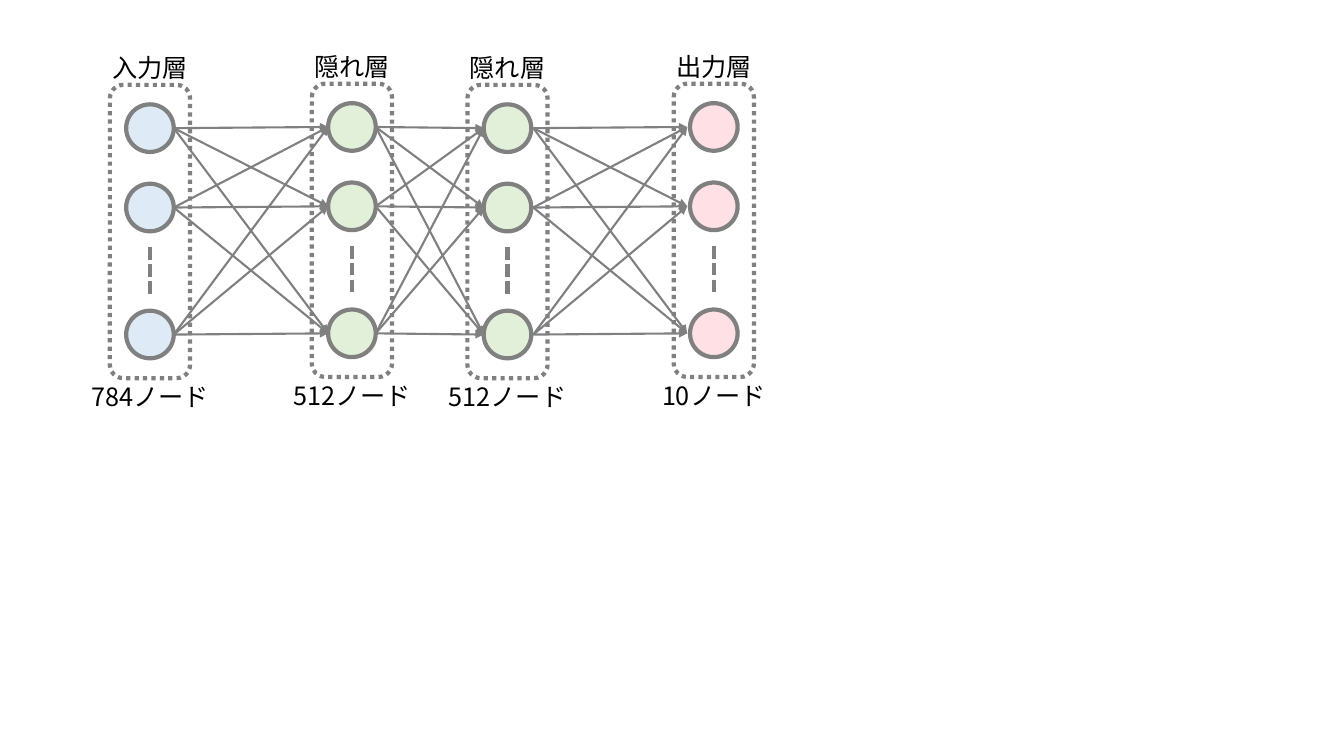
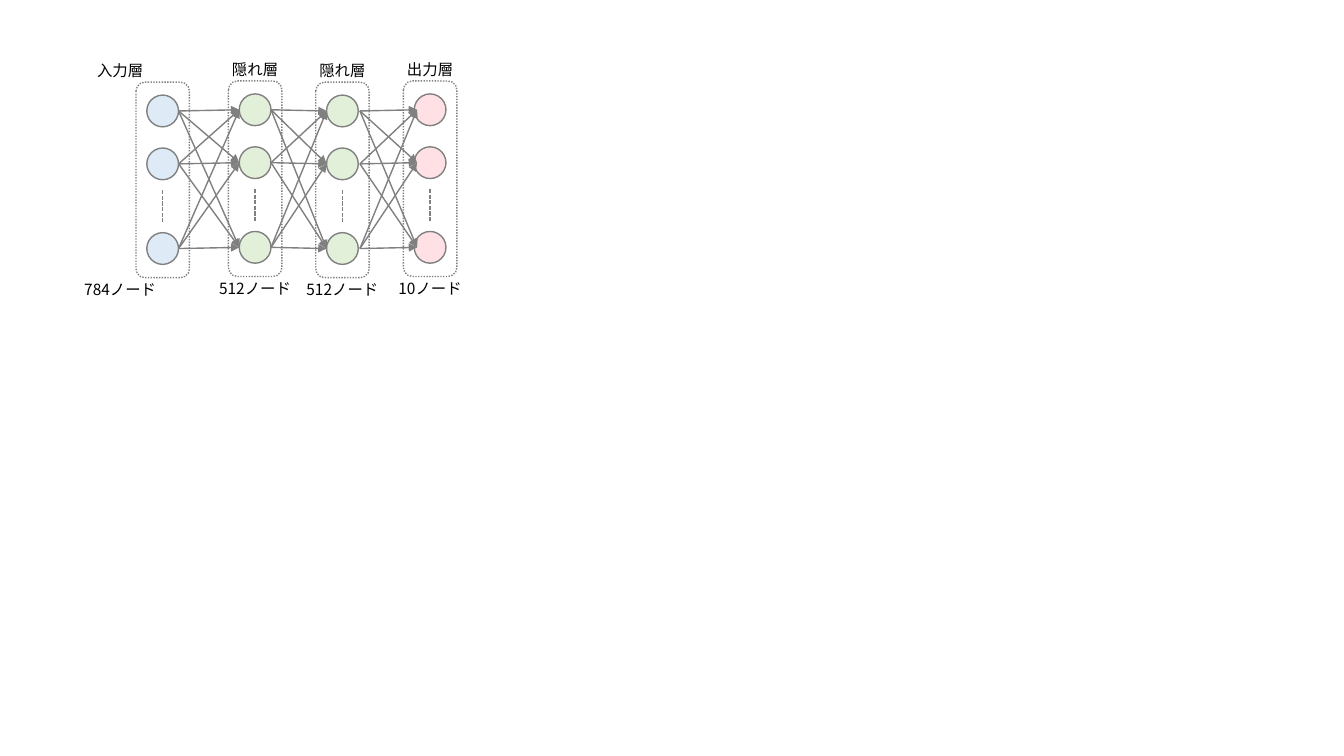
from dataclasses import dataclass
from itertools import pairwise, product

from lxml import etree
from pptx import Presentation
from pptx.dml.color import RGBColor
from pptx.enum.dml import MSO_LINE
from pptx.enum.shapes import MSO_CONNECTOR, MSO_SHAPE
from pptx.enum.text import MSO_ANCHOR, PP_ALIGN
from pptx.oxml.ns import qn
from pptx.util import Cm, Pt

OVAL, ROUNDED = MSO_SHAPE.OVAL, MSO_SHAPE.ROUNDED_RECTANGLE
STRAIGHT = MSO_CONNECTOR.STRAIGHT
DASHED, DOTTED = MSO_LINE.SQUARE_DOT, MSO_LINE.ROUND_DOT
CENTER, MIDDLE = PP_ALIGN.CENTER, MSO_ANCHOR.MIDDLE

FONT = "Noto Sans CJK JP"
BLACK = RGBColor(0x00, 0x00, 0x00)
GRAY = RGBColor(0x80, 0x80, 0x80)
BLUE = RGBColor(0xDE, 0xEB, 0xF7)
GREEN = RGBColor(0xE2, 0xF0, 0xD9)
PINK = RGBColor(0xFF, 0xE1, 0xE5)

LAYERS = [
    ("入力層", "784ノード", BLUE),
    ("隠れ層", "512ノード", GREEN),
    ("隠れ層", "512ノード", GREEN),
    ("出力層", "10ノード", PINK),
]

# Full-size layer in centimetres; heights are measured from the frame's top.
NODE_SIZE = 1.2
NODE_CENTERS = [1.09, 3.09, 6.29]
ELLIPSIS_TOP, ELLIPSIS_BOTTOM = 4.09, 5.28
FRAME_WIDTH, FRAME_HEIGHT = 2.02, 7.39
LABEL_WIDTH, LABEL_HEIGHT = 4.52, 0.72
TITLE_TOP, COUNT_TOP = -0.79, 7.49
STAGGER = 0.03  # the first and third layers sit slightly lower


@dataclass
class Network:
    """Layout of one slide's network, in centimetres and points."""
    scale: float
    frame_top: float
    centers: list
    text_size: float
    outline: float
    arrow_width: float
    input_label_shift: float
    output_arrow_shifts: tuple

    def top(self, layer):
        return self.frame_top + (STAGGER if layer % 2 == 0 else 0)

    def y(self, layer, height):
        return self.top(layer) + height * self.scale


NETWORKS = [
    Network(1, 2.11, [3.78, 8.87, 12.79, 17.99], 18, 3, 1.5, 0, (0.05, -0.07)),
    Network(2 / 3, 2.04, [4.1, 6.43, 8.63, 10.84], 11, 1, 1, -1.07, (0.04, 0.07)),
]


def style_line(line, width, dash=None):
    line.color.rgb = GRAY
    line.width = Pt(width)
    if dash is not None:
        line.dash_style = dash


def add_outline(shapes, kind, center, top, width, height, line_width, fill=None, dash=None):
    """Add a preset shape centred on a horizontal position."""
    shape = shapes.add_shape(kind, Cm(center - width / 2), Cm(top), Cm(width), Cm(height))
    shape.shadow.inherit = False
    if fill is None:
        shape.fill.background()
    else:
        shape.fill.solid()
        shape.fill.fore_color.rgb = fill
    style_line(shape.line, line_width, dash)


def add_line(shapes, start, end, width, dash=None):
    line = shapes.add_connector(STRAIGHT, *(Cm(value) for value in (*start, *end)))
    style_line(line.line, width, dash)
    etree.SubElement(line._element.spPr, qn("a:effectLst"))
    return line


def add_arrow(shapes, start, end, width):
    arrow = add_line(shapes, start, end, width)
    outline = arrow.line._get_or_add_ln()
    etree.SubElement(outline, qn("a:tailEnd"), type="triangle")


def add_label(shapes, text, center, top, network):
    width, height = LABEL_WIDTH * network.scale, LABEL_HEIGHT * network.scale
    box = shapes.add_textbox(Cm(center - width / 2), Cm(top), Cm(width), Cm(height))
    frame = box.text_frame
    frame.margin_left = frame.margin_right = frame.margin_top = frame.margin_bottom = 0
    frame.word_wrap = True
    frame.vertical_anchor = MIDDLE
    frame.text = text
    para = frame.paragraphs[0]
    para.alignment = CENTER
    span = para.runs[0]
    span.font.size = Pt(network.text_size)
    span.font.name = FONT
    span.font.color.rgb = BLACK
    etree.SubElement(span._r.get_or_add_rPr(), qn("a:ea"), typeface=FONT)


def add_layer(page, network, layer):
    title, count, fill = LAYERS[layer]
    shapes = page.shapes.add_group_shape().shapes
    center, scale = network.centers[layer], network.scale
    size = NODE_SIZE * scale
    for height in NODE_CENTERS:
        add_outline(shapes, OVAL, center, network.y(layer, height) - size / 2,
                    size, size, network.outline, fill=fill)
    add_line(shapes, (center, network.y(layer, ELLIPSIS_TOP)),
             (center, network.y(layer, ELLIPSIS_BOTTOM)), network.outline, DASHED)
    add_outline(shapes, ROUNDED, center, network.top(layer), FRAME_WIDTH * scale,
                FRAME_HEIGHT * scale, network.outline, dash=DOTTED)
    label_center = center + (network.input_label_shift if layer == 0 else 0)
    for text, height in ((title, TITLE_TOP), (count, COUNT_TOP)):
        add_label(shapes, text, label_center, network.y(layer, height), network)


def join_layers(page, network, left, right):
    """Draw an arrow from every node of one layer to every node of the next."""
    shapes = page.shapes.add_group_shape().shapes
    radius = NODE_SIZE * network.scale / 2
    is_output = right == len(LAYERS) - 1
    start_shift, end_shift = network.output_arrow_shifts if is_output else (0, 0)
    start_x = network.centers[left] + radius + start_shift
    end_x = network.centers[right] - radius + end_shift
    for source, target in product(NODE_CENTERS, repeat=2):
        add_arrow(shapes, (start_x, network.y(left, source)),
                  (end_x, network.y(right, target)), network.arrow_width)


def main():
    deck = Presentation()
    deck.slide_width, deck.slide_height = Cm(33.87), Cm(19.05)
    for network in NETWORKS:
        page = deck.slides.add_slide(deck.slide_layouts[6])
        for layer in range(len(LAYERS)):
            add_layer(page, network, layer)
        for left, right in pairwise(range(len(LAYERS))):
            join_layers(page, network, left, right)
    deck.save("out.pptx")


if __name__ == "__main__":
    main()
